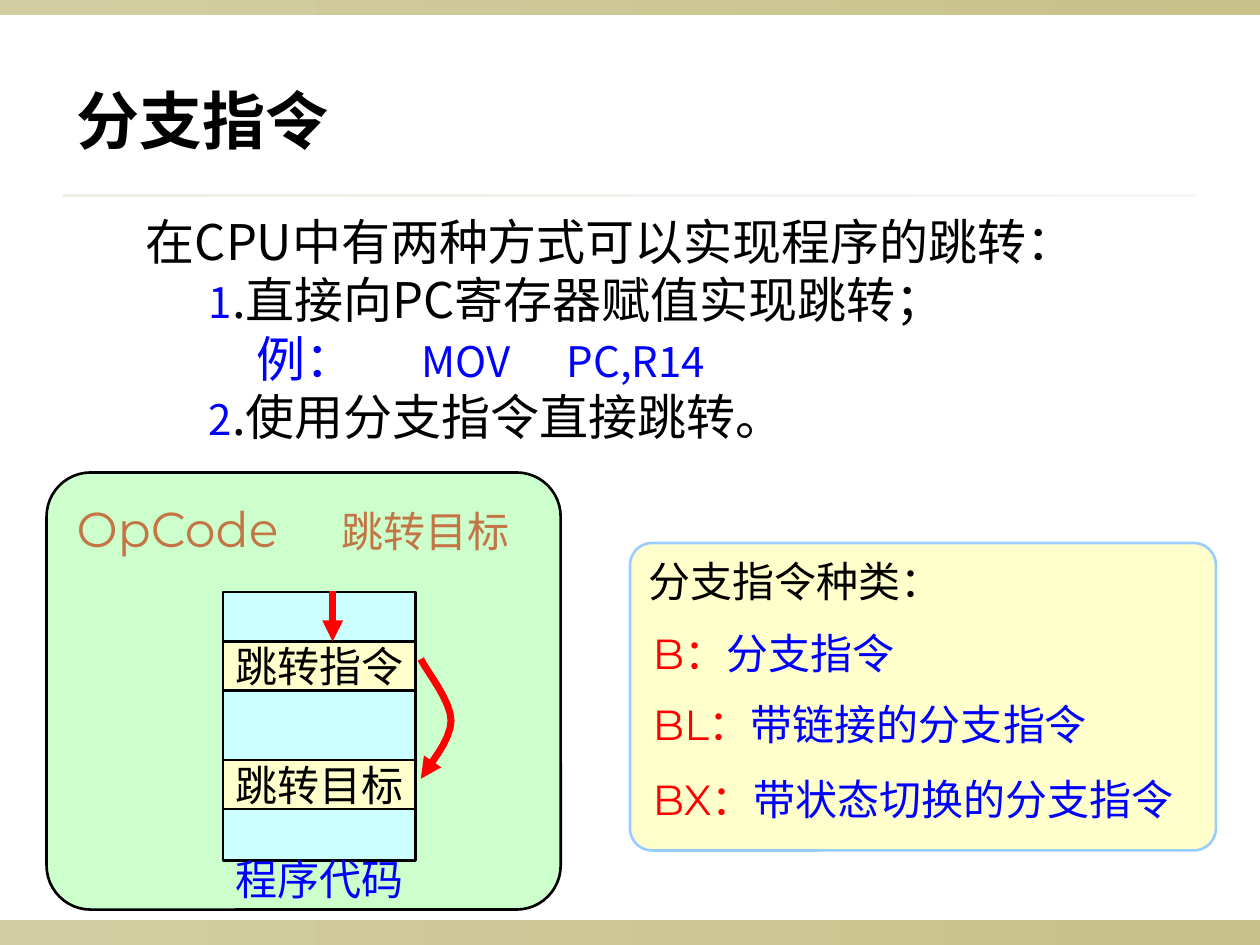
from lxml import etree
from pptx import Presentation
from pptx.dml.color import RGBColor
from pptx.enum.shapes import MSO_CONNECTOR as Connector, MSO_SHAPE as Shape
from pptx.enum.text import MSO_ANCHOR as Anchor, PP_ALIGN as Align
from pptx.oxml.ns import qn
from pptx.util import Pt

COLORS = {
    "black": "000000", "blue": "0000FF", "red": "FF0000", "orange": "C47546",
    "green": "CCFFCC", "cyan": "CCFFFF", "yellow": "FFFFCC", "sky": "99CCFF",
    "bar_start": "D3CEA1", "bar_end": "C8C18A",
    "rule_start": "EDECE5", "rule_end": "F8F7F5",
}
SANS, SERIF, DISPLAY = "Noto Sans CJK SC", "Times New Roman", "Montserrat"


def draw(kind, bounds, fill, line=None, corner=None):
    shape = page.shapes.add_shape(kind, *map(Pt, bounds))
    shape.shadow.inherit = False
    if isinstance(fill, tuple):
        shape.fill.gradient()
        shape.fill.gradient_angle = 0
        for stop, name in zip(shape.fill.gradient_stops, fill):
            stop.color.rgb = RGBColor.from_string(COLORS[name])
    else:
        shape.fill.solid()
        shape.fill.fore_color.rgb = RGBColor.from_string(COLORS[fill])
    if line:
        shape.line.color.rgb = RGBColor.from_string(COLORS[line])
        shape.line.width = Pt(1.5)
    else:
        shape.line.fill.background()
    if corner:
        shape.adjustments[0] = corner
    return shape


def write(box, *spans, new=False, indent=0, tabs=(), align=Align.LEFT, anchor=Anchor.TOP,
          wrap=True, spacing=None, font=SERIF, bold=False):
    frame = box.text_frame
    frame.word_wrap = wrap
    frame.vertical_anchor = anchor
    para = frame.add_paragraph() if new else frame.paragraphs[0]
    para.alignment = align
    para.line_spacing = spacing
    properties = para._p.get_or_add_pPr()
    if indent:
        properties.set("marL", str(Pt(indent)))
        properties.set("indent", "0")
    if tabs:
        tab_list = etree.SubElement(properties, qn("a:tabLst"))
        for position in tabs:
            etree.SubElement(tab_list, qn("a:tab"), pos=str(Pt(position)), algn="l")
    for text, size, color, *own_font in spans:
        span = para.add_run()
        span.text = text
        span.font.size = Pt(size)
        span.font.name = own_font[0] if own_font else font
        span.font.bold = bold
        span.font.color.rgb = RGBColor.from_string(COLORS[color])


deck = Presentation()
deck.slide_width, deck.slide_height = Pt(720), Pt(540)
page = deck.slides.add_slide(deck.slide_layouts[6])

draw(Shape.RECTANGLE, (0, 525.6, 720, 14.4), ("bar_start", "bar_end"))
draw(Shape.RECTANGLE, (0, 0, 720, 8.4), ("bar_start", "bar_end"))
draw(Shape.RECTANGLE, (36, 110.9, 648, 1.5), ("rule_start", "rule_end"))

title = page.shapes.add_textbox(Pt(36.7), Pt(43.2), Pt(532.8), Pt(50.4))
write(title, ("分支指令", 36, "black"), font="Arial", bold=True)

body = page.shapes.add_textbox(Pt(76.3), Pt(117.2), Pt(566.6), Pt(141.8))
body_format = {"font": SANS, "spacing": Pt(33.5)}
write(body, ("在CPU中有两种方式可以实现程序的跳转：", 28, "black"), **body_format)
write(body, ("1", 24, "blue"), (".直接向PC寄存器赋值实现跳转；", 28, "black"),
      new=True, indent=36, **body_format)
write(body, ("\t例：", 28, "blue"), ("\tMOV\tPC,R14", 24, "blue"),
      new=True, tabs=(63, 157.5, 240.5), **body_format)
write(body, ("2", 24, "blue"), (".使用分支指令直接跳转。", 28, "black"),
      new=True, indent=36, **body_format)

draw(Shape.ROUNDED_RECTANGLE, (26.6, 270, 293.8, 249.8), "green", "black", 0.101)
heading = page.shapes.add_textbox(Pt(36.7), Pt(281.5), Pt(272.2), Pt(41))
write(heading, ("OpCode", 28, "orange", DISPLAY), ("\t跳转目标", 24, "orange"), tabs=(151.5,))

draw(Shape.RECTANGLE, (127.4, 338.4, 110.2, 153.4), "cyan", "black")
for top, label in ((366.5, "跳转指令"), (434.2, "跳转目标")):
    cell = draw(Shape.RECTANGLE, (127.4, top, 110.2, 28.1), "yellow", "black")
    write(cell, (label, 24, "black"), align=Align.CENTER, anchor=Anchor.MIDDLE, wrap=False)
caption = page.shapes.add_textbox(Pt(127.4), Pt(488), Pt(110.2), Pt(28))
write(caption, ("程序代码", 24, "blue"), align=Align.CENTER, anchor=Anchor.MIDDLE, wrap=False)

curves = (
    ((240.5, 376.6), (243.4, 383), (257.8, 400.3), (257.8, 411.8)),
    ((257.8, 411.8), (257.8, 423.4), (244.1, 438.5), (240.5, 445)),
)
steps = 8
points = []
for curve in curves:
    for step in range(1, steps + 1):
        t = step / steps
        weights = ((1 - t) ** 3, 3 * t * (1 - t) ** 2, 3 * t ** 2 * (1 - t), t ** 3)
        points.append(tuple(Pt(sum(w * point[axis] for w, point in zip(weights, curve)))
                            for axis in (0, 1)))
builder = page.shapes.build_freeform(*map(Pt, curves[0][0]))
builder.add_line_segments(points, close=False)
jump = builder.convert_to_shape()
jump.shadow.inherit = False
jump.fill.background()

entry = page.shapes.add_connector(Connector.STRAIGHT, Pt(190.1), Pt(337.7), Pt(190.1), Pt(366.5))
etree.SubElement(entry._element.spPr, qn("a:effectLst"))
for arrow in (jump, entry):
    arrow.line.color.rgb = RGBColor.from_string(COLORS["red"])
    arrow.line.width = Pt(4)
    etree.SubElement(arrow.line._get_or_add_ln(), qn("a:tailEnd"), type="triangle")

kinds = draw(Shape.ROUNDED_RECTANGLE, (360, 310.3, 334.8, 175.7), "yellow", "sky", 0.072)
write(kinds, ("分支指令种类：", 24, "black"))
for top, code, meaning in ((355.7, "B：", "分支指令"), (396, "BL：", "带链接的分支指令"),
                           (439.2, "BX：", "带状态切换的分支指令")):
    entry_box = page.shapes.add_textbox(Pt(365.8), Pt(top), Pt(325), Pt(34.6))
    write(entry_box, (code, 24, "red", DISPLAY), (meaning, 24, "blue"), anchor=Anchor.MIDDLE)

deck.save("out.pptx")
